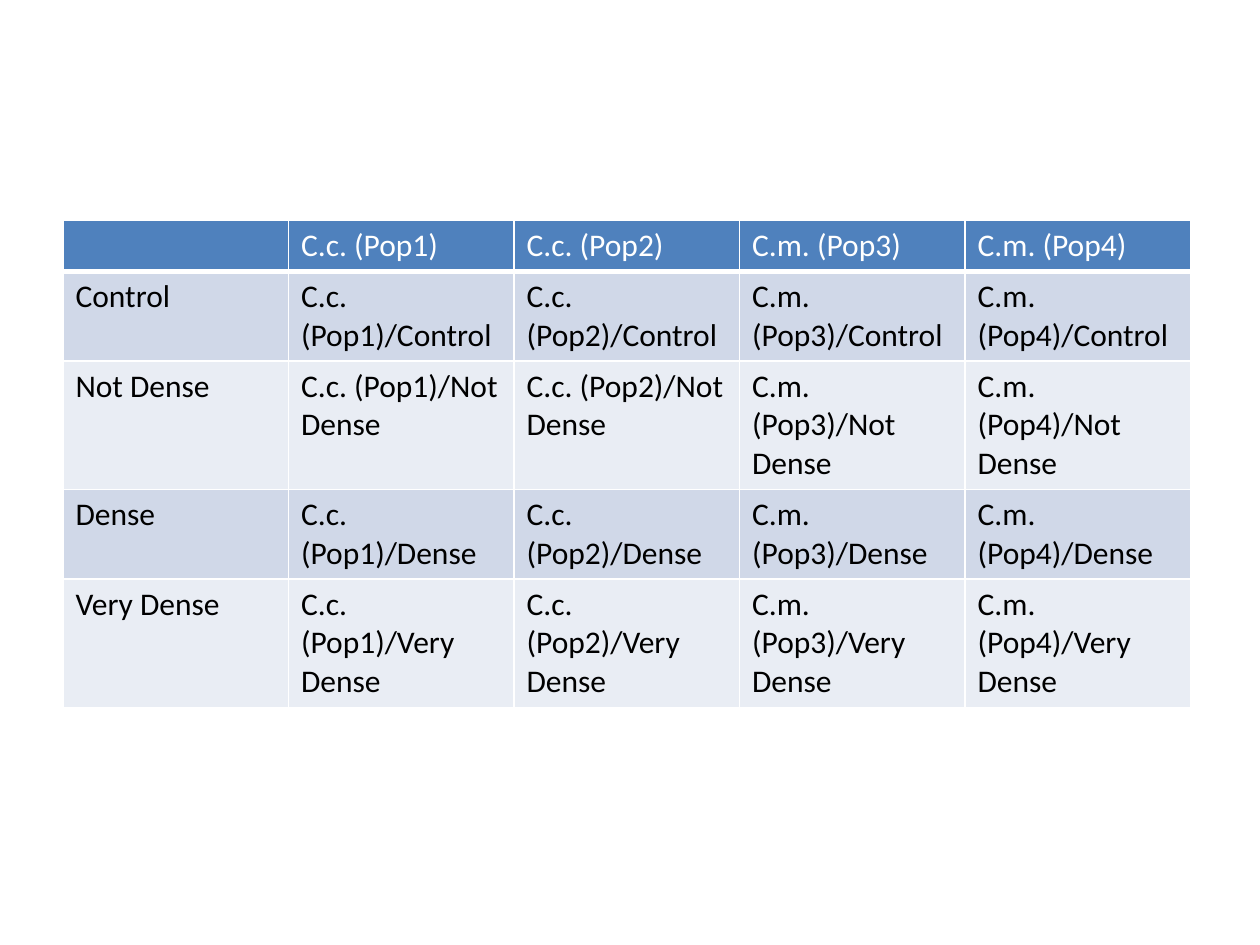
from dataclasses import dataclass
from lxml import etree
from pptx import Presentation
from pptx.dml.color import RGBColor
from pptx.oxml.ns import qn
from pptx.util import Inches, Pt


@dataclass
class Theme:
    font: str = "Calibri"
    size: int = 18
    head: str = "4F81BD"
    bands: tuple = ("D0D8E8", "E9EDF4")
    light: str = "FFFFFF"
    dark: str = "000000"
    line: int = 1
    rule: int = 3


theme = Theme()


def add_edge(cell, index, side, width):
    edge = etree.Element(qn(f"a:ln{side}"), w=str(Pt(width)))
    fill = etree.SubElement(edge, qn("a:solidFill"))
    etree.SubElement(fill, qn("a:srgbClr"), val=theme.light)
    cell._tc.get_or_add_tcPr().insert(index, edge)


pops = ["C.c. (Pop1)", "C.c. (Pop2)", "C.m. (Pop3)", "C.m. (Pop4)"]
levels = ["Control", "Not Dense", "Dense", "Very Dense"]
rows = [[""] + pops]
rows += [[level] + [f"{pop}/{level}" for pop in pops] for level in levels]
heights = [0.4, 0.71, 1.02, 0.71, 1.02]

prs = Presentation()
prs.slide_width = Inches(10)
prs.slide_height = Inches(7.5)
slide = prs.slides.add_slide(prs.slide_layouts[6])

frame = slide.shapes.add_table(
    len(rows), len(rows[0]), Inches(0.5), Inches(1.75), Inches(8.95), Inches(sum(heights))
)
table = frame.table
for col in table.columns:
    col.width = Inches(1.79)

for r, texts in enumerate(rows):
    table.rows[r].height = Inches(heights[r])
    head = r == 0
    shade = theme.head if head else theme.bands[(r - 1) % 2]
    ink = theme.light if head else theme.dark
    for c, text in enumerate(texts):
        cell = table.cell(r, c)
        cell.fill.solid()
        cell.fill.fore_color.rgb = RGBColor.from_string(shade)
        for i, side in enumerate("LRTB"):
            thick = (head and side == "B") or (r == 1 and side == "T")
            add_edge(cell, i, side, theme.rule if thick else theme.line)
        cell.text = text
        font = cell.text_frame.paragraphs[0].font
        font.name = theme.font
        font.size = Pt(theme.size)
        font.bold = False
        font.color.rgb = RGBColor.from_string(ink)

prs.save("out.pptx")
